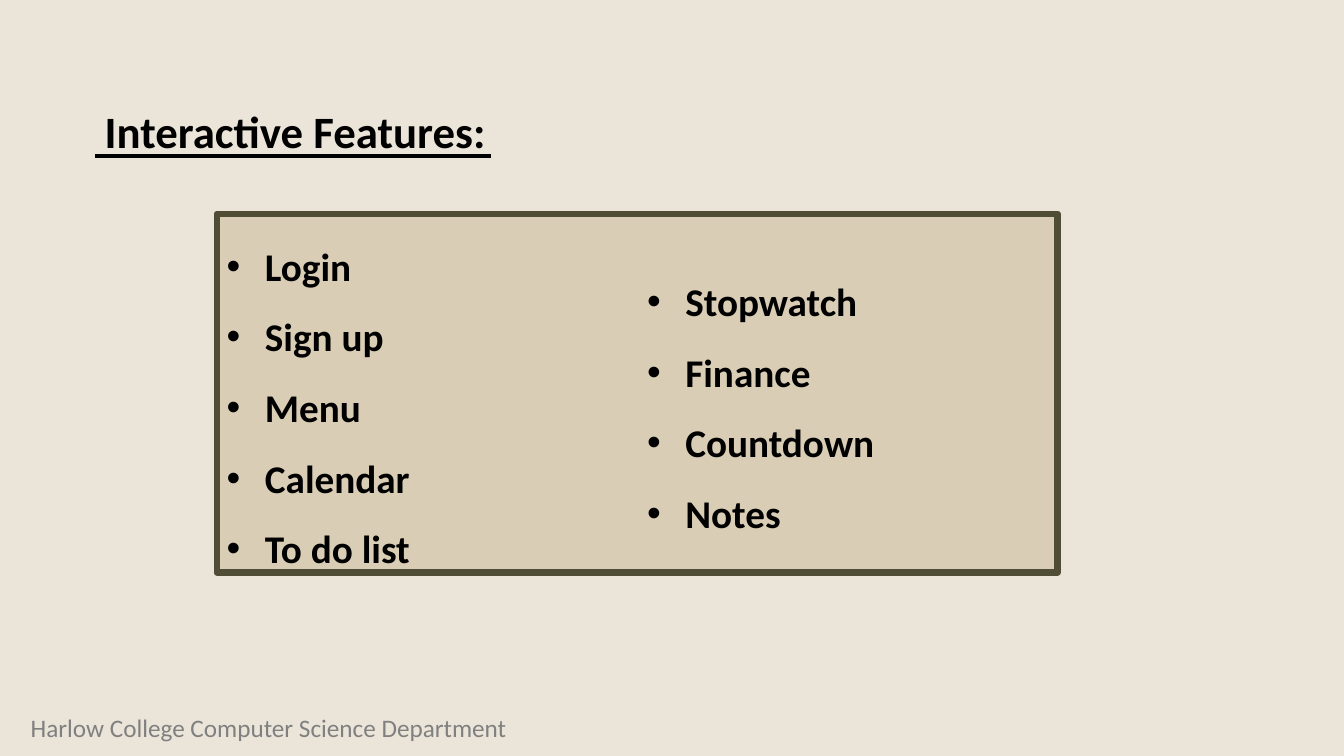
from lxml import etree
from pptx import Presentation
from pptx.dml.color import RGBColor
from pptx.enum.shapes import MSO_CONNECTOR, MSO_SHAPE
from pptx.enum.text import MSO_ANCHOR, MSO_AUTO_SIZE, PP_ALIGN
from pptx.oxml.ns import qn
from pptx.util import Inches, Pt

RECTANGLE = MSO_SHAPE.RECTANGLE
STRAIGHT = MSO_CONNECTOR.STRAIGHT
TOP = MSO_ANCHOR.TOP
GROW = MSO_AUTO_SIZE.SHAPE_TO_FIT_TEXT
CENTER, JUSTIFY = PP_ALIGN.CENTER, PP_ALIGN.JUSTIFY

BACKGROUND, PANEL, BORDER = "EBE5D9", "D9CDB5", "504D36"
BLACK, GRAY = "000000", "808080"


def color(value):
    return RGBColor.from_string(value)


def add_bullet(p, indent=0.38):
    pPr = p._p.get_or_add_pPr()
    pPr.set("marL", str(Inches(indent)))
    pPr.set("indent", str(-Inches(indent)))
    etree.SubElement(pPr, qn("a:buFont")).set("typeface", "Arial")
    etree.SubElement(pPr, qn("a:buChar")).set("char", "•")


def write(sp, lines, size=28, fill=BLACK, bold=True, align=JUSTIFY,
          spacing=1.5, before=0, after=0, bullets=False):
    tf = sp.text_frame
    tf.word_wrap = True
    tf.auto_size = GROW
    tf.vertical_anchor = TOP
    for i, line in enumerate(lines):
        p = tf.add_paragraph() if i else tf.paragraphs[0]
        p.alignment = align
        p.line_spacing = spacing
        p.space_before, p.space_after = Pt(before), Pt(after)
        if bullets:
            add_bullet(p)
        r = p.add_run()
        r.text = line
        r.font.name = "Calibri"
        r.font.size = Pt(size)
        r.font.bold = bold
        r.font.color.rgb = color(fill)


def text_box(s, box):
    return s.shapes.add_textbox(*map(Inches, box))


def add_footer(s, box):
    sp = text_box(s, box)
    write(sp, ["Harlow College Computer Science Department"], size=18,
          fill=GRAY, bold=False, align=CENTER, spacing=1.07, after=8)


def add_title(s, box, rule_width):
    left, top, _, height = box
    write(text_box(s, box), ["Interactive Features:"], size=32, before=12)
    y = Inches(top + height + 0.01)
    rule = s.shapes.add_connector(
        STRAIGHT, Inches(left), y, Inches(left + rule_width), y)
    rule.line.color.rgb = color(BLACK)
    rule.line.width = Pt(3)
    etree.SubElement(rule._element.spPr, qn("a:effectLst"))


def add_features(s, box):
    left, top, _, _ = box
    panel = s.shapes.add_shape(RECTANGLE, *map(Inches, box))
    panel.shadow.inherit = False
    panel.fill.solid()
    panel.fill.fore_color.rgb = color(PANEL)
    panel.line.color.rgb = color(BORDER)
    panel.line.width = Pt(4.5)
    etree.SubElement(panel.line._get_or_add_ln(), qn("a:round"))
    write(panel, ["Login", "Sign up", "Menu", "Calendar", "To do list"],
          bullets=True)
    column = text_box(s, (left + 4.17, top + 0.35, 4.67, 2.86))
    write(column, ["Stopwatch", "Finance", "Countdown", "Notes"],
          bullets=True)


def main():
    prs = Presentation()
    prs.slide_width, prs.slide_height = Inches(13.33), Inches(7.5)
    s = prs.slides.add_slide(prs.slide_layouts[6])
    s.background.fill.solid()
    s.background.fill.fore_color.rgb = color(BACKGROUND)
    add_footer(s, (-0.67, 7, 6.67, 0.41))
    add_title(s, (0.94, 0.71, 7, 0.83), rule_width=3.93)
    add_features(s, (2.15, 2.12, 8.34, 3.56))
    prs.save("out.pptx")


if __name__ == "__main__":
    main()
